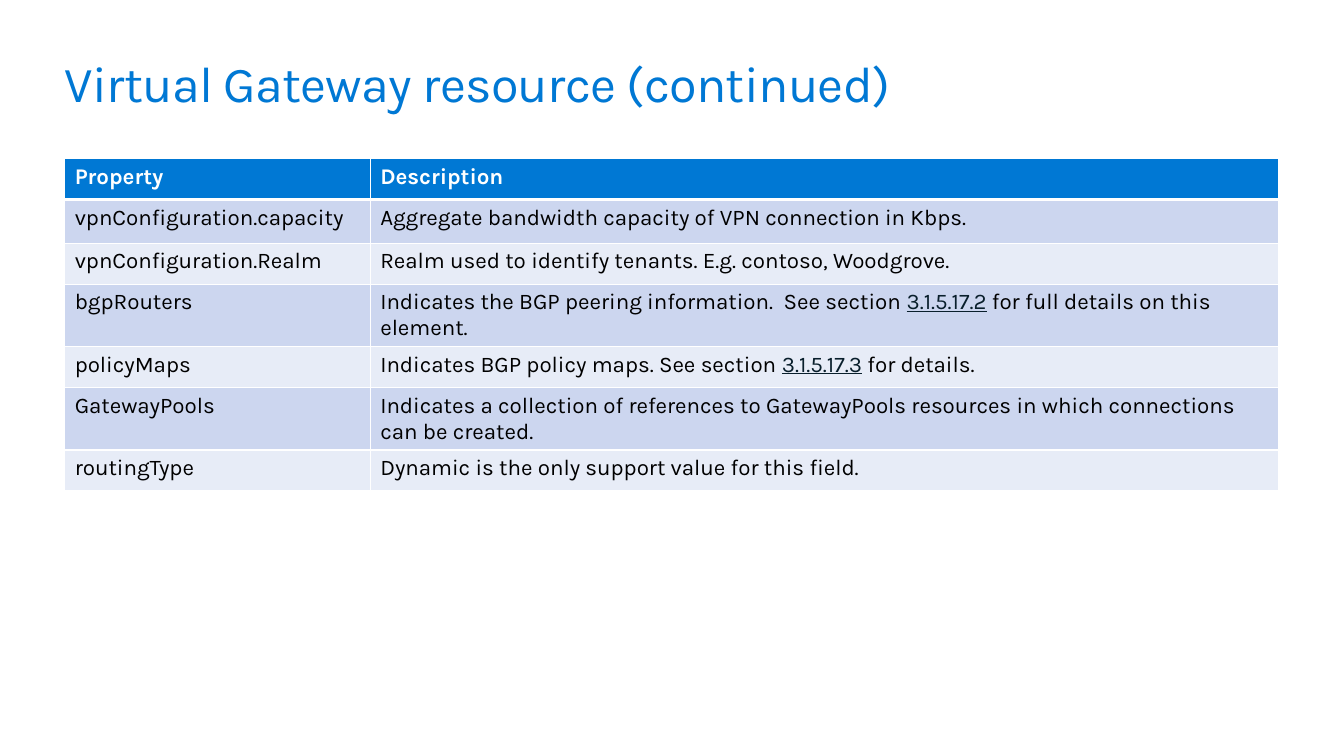
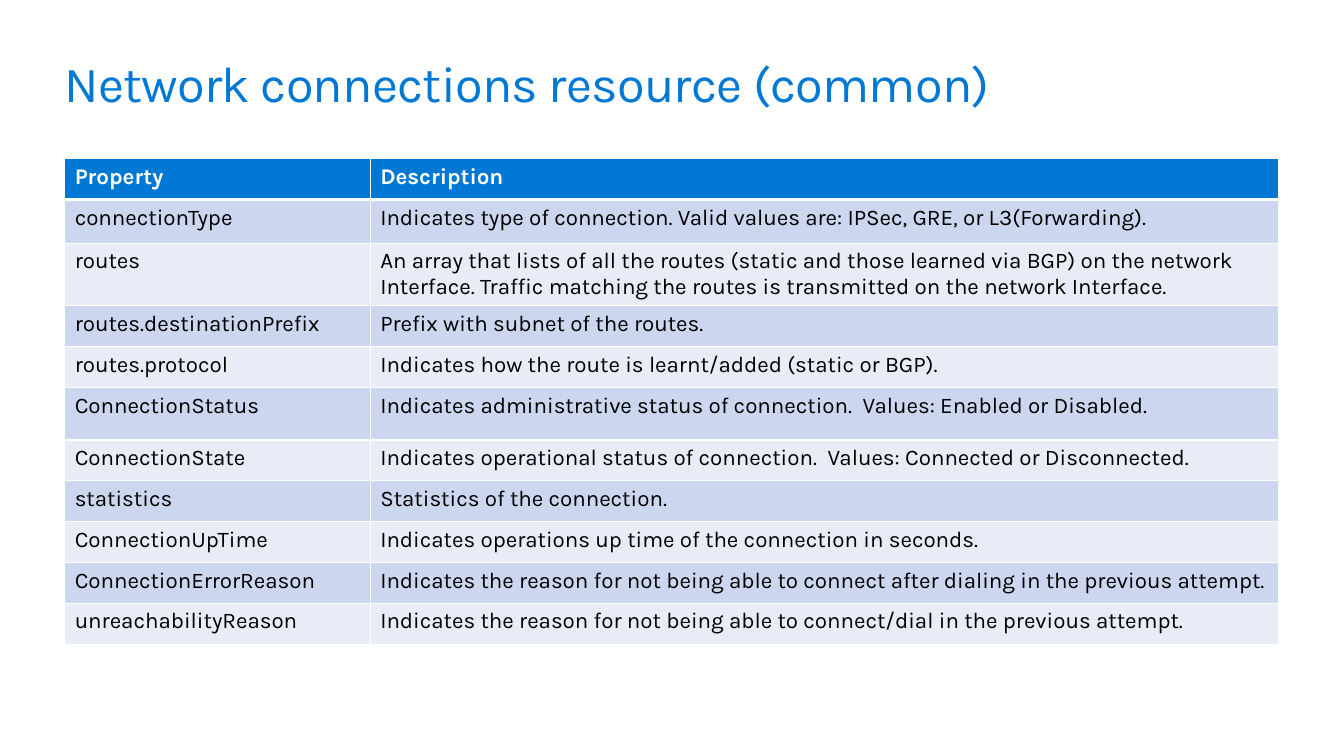
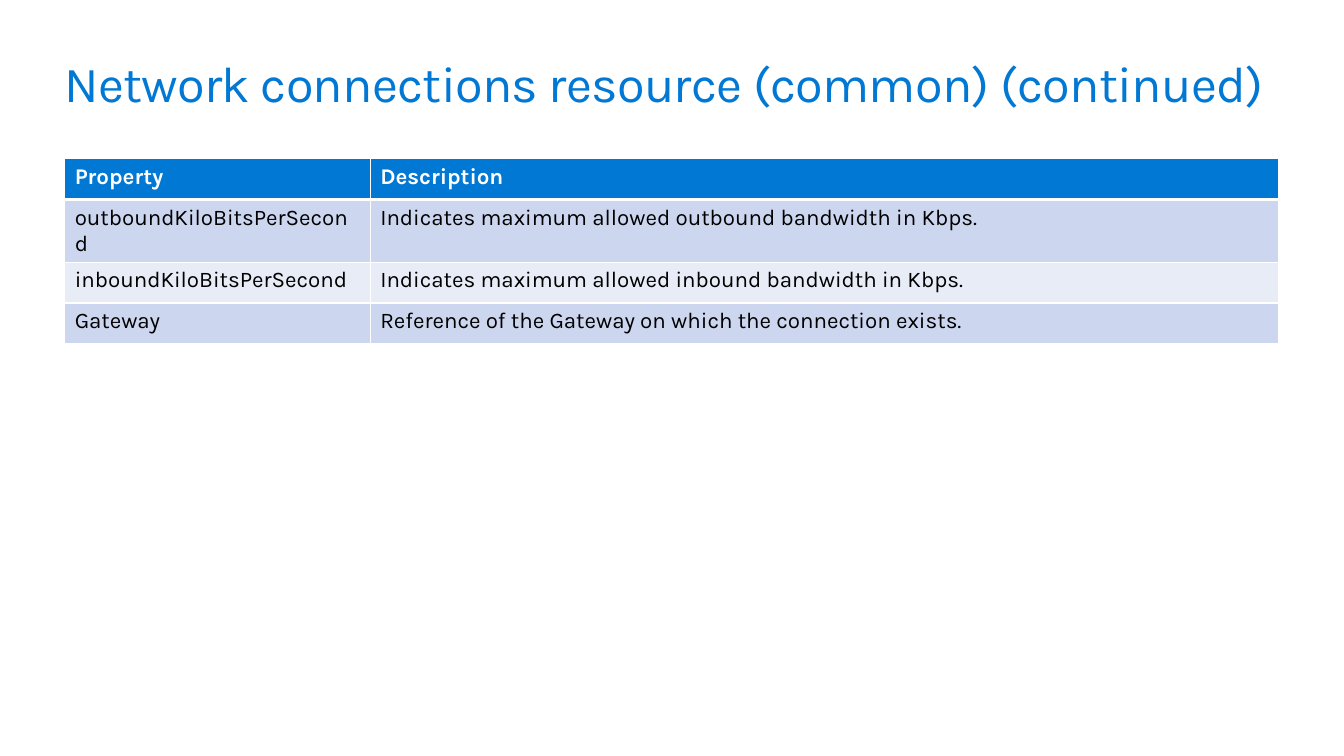
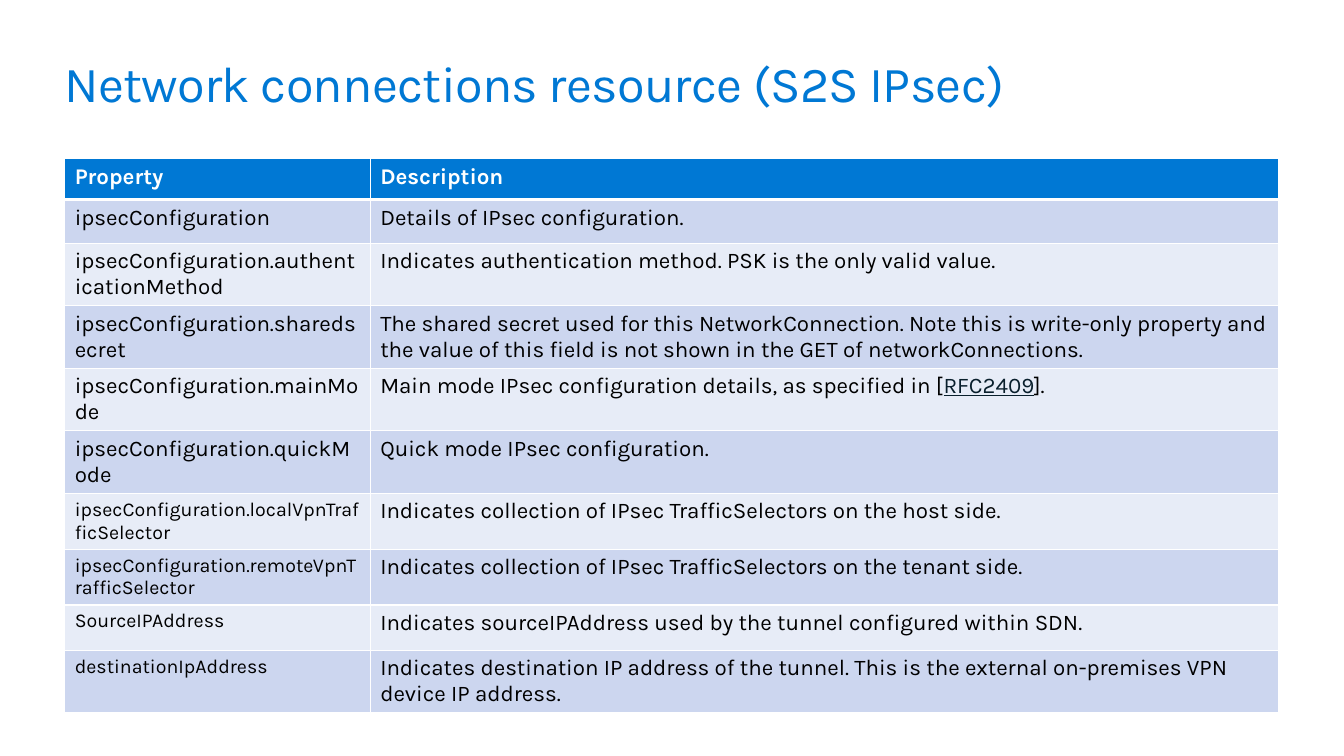
from dataclasses import dataclass

import pptx
import pptx.dml.color
import pptx.enum.text
import pptx.oxml
import pptx.oxml.ns
import pptx.util

Cm = pptx.util.Cm
Pt = pptx.util.Pt


@dataclass(frozen=True)
class Theme:
    font: str = "Karla"
    accent: str = "0078D4"
    white: str = "FFFFFF"
    ink: str = "000000"
    reference: str = "091F2C"
    bands: tuple = ("CCD6EF", "E7ECF7")
    title_size: float = 36
    body_size: float = 16
    small_size: float = 14
    title_spacing: float = -0.5
    thin_border: float = 1
    thick_border: float = 3


@dataclass(frozen=True)
class Box:
    left: float
    top: float
    width: float
    height: float = 0


THEME = Theme()
SLIDE_SIZE = (33.87, 19.05)
TITLE_BOX = Box(1.63, 1.27, 30.6, 1.56)
TABLE_BOX = Box(1.63, 4, 30.6)
PROPERTY_WIDTH = 7.7
ROW_HEIGHT = 1.03
TALL_ROWS = {1: 1.1, 5: 1.32}
HEADINGS = ("Property", "Description")


@dataclass(frozen=True)
class PropertyPage:
    title: str
    rows: tuple  # (property, description); a tuple description holds a reference second
    small_from: int = 99  # first table row whose property is set small
    tall_rows: tuple = ()  # extra (row, height) pairs


PAGES = (
    PropertyPage("Virtual Gateway resource (continued)", (
        ("vpnConfiguration.capacity", "Aggregate bandwidth capacity of VPN connection in Kbps."),
        ("vpnConfiguration.Realm", "Realm used to identify tenants. E.g. contoso, Woodgrove."),
        ("bgpRouters", ("Indicates the BGP peering information.  See section ", "3.1.5.17.2",
                        " for full details on this element.")),
        ("policyMaps", ("Indicates BGP policy maps. See section ", "3.1.5.17.3",
                        " for details.")),
        ("GatewayPools", "Indicates a collection of references to GatewayPools resources "
                         "in which connections can be created."),
        ("routingType", "Dynamic is the only support value for this field."),
    )),
    PropertyPage("Network connections resource (common)", (
        ("connectionType", "Indicates type of connection. Valid values are: "
                           "IPSec, GRE, or L3(Forwarding)."),
        ("routes", "An array that lists of all the routes (static and those learned via BGP) "
                   "on the network Interface. Traffic matching the routes is transmitted "
                   "on the network Interface."),
        ("routes.destinationPrefix", "Prefix with subnet of the routes."),
        ("routes.protocol", "Indicates how the route is learnt/added (static or BGP)."),
        ("ConnectionStatus", "Indicates administrative status of connection.  "
                             "Values: Enabled or Disabled."),
        ("ConnectionState", "Indicates operational status of connection.  "
                            "Values: Connected or Disconnected."),
        ("statistics", "Statistics of the connection."),
        ("ConnectionUpTime", "Indicates operations up time of the connection in seconds."),
        ("ConnectionErrorReason", "Indicates the reason for not being able to connect "
                                  "after dialing in the previous attempt."),
        ("unreachabilityReason", "Indicates the reason for not being able to connect/dial "
                                 "in the previous attempt."),
    )),
    PropertyPage("Network connections resource (common) (continued)", (
        ("outboundKiloBitsPerSecond", "Indicates maximum allowed outbound bandwidth in Kbps."),
        ("inboundKiloBitsPerSecond", "Indicates maximum allowed inbound bandwidth in Kbps."),
        ("Gateway", "Reference of the Gateway on which the connection exists."),
    )),
    PropertyPage("Network connections resource (S2S IPsec)", (
        ("ipsecConfiguration", "Details of IPsec configuration."),
        ("ipsecConfiguration.authenticationMethod",
         "Indicates authentication method. PSK is the only valid value."),
        ("ipsecConfiguration.sharedsecret",
         "The shared secret used for this NetworkConnection. Note this is write-only property "
         "and the value of this field is not shown in the GET of networkConnections."),
        ("ipsecConfiguration.mainMode",
         ("Main mode IPsec configuration details, as specified in [", "RFC2409", "].")),
        ("ipsecConfiguration.quickMode", "Quick mode IPsec configuration."),
        ("ipsecConfiguration.localVpnTrafficSelector",
         "Indicates collection of IPsec TrafficSelectors on the host side."),
        ("ipsecConfiguration.remoteVpnTrafficSelector",
         "Indicates collection of IPsec TrafficSelectors on the tenant side."),
        ("SourceIPAddress",
         "Indicates sourceIPAddress used by the tunnel configured within SDN."),
        ("destinationIpAddress",
         "Indicates destination IP address of the tunnel. This is the external on-premises "
         "VPN device IP address."),
    ), small_from=6, tall_rows=((8, 1.14),)),
)


def write(frame, text, size=THEME.body_size, color=THEME.ink, bold=False, spacing=0):
    """Fill a text frame; every second part of a tuple is an underlined reference."""
    parts = (text,) if isinstance(text, str) else text
    for number, part in enumerate(parts):
        is_reference = number % 2 == 1
        run = frame.paragraphs[0].add_run()
        run.text = part
        run.font.name = THEME.font
        run.font.size = Pt(size)
        run.font.bold = bold
        run.font.underline = is_reference
        shade = THEME.reference if is_reference else color
        run.font.color.rgb = pptx.dml.color.RGBColor.from_string(shade)
        if spacing:
            run.font._element.set("spc", str(round(spacing * 100)))


def set_borders(cell, top, bottom):
    """Draw white borders; they stand before the fill in the cell properties."""
    properties = cell._tc.get_or_add_tcPr()
    sides = (("lnL", THEME.thin_border), ("lnR", THEME.thin_border),
             ("lnT", top), ("lnB", bottom))
    for place, (side, width) in enumerate(sides):
        properties.insert(place, pptx.oxml.parse_xml(
            f'<a:{side} {pptx.oxml.ns.nsdecls("a")} w="{Pt(width)}"><a:solidFill>'
            f'<a:srgbClr val="{THEME.white}"/></a:solidFill></a:{side}>'))


def style_title_layout(layout, box):
    """Place the title once, for all slides of the layout."""
    title = layout.placeholders[0]
    title.left, title.top = Cm(box.left), Cm(box.top)
    title.width, title.height = Cm(box.width), Cm(box.height)
    frame = title.text_frame
    frame.margin_left = frame.margin_right = frame.margin_top = frame.margin_bottom = 0
    frame.word_wrap = True
    frame.auto_size = pptx.enum.text.MSO_AUTO_SIZE.NONE
    frame.vertical_anchor = pptx.enum.text.MSO_ANCHOR.BOTTOM


def add_title(slide, text):
    frame = slide.shapes.title.text_frame
    write(frame, text, size=THEME.title_size, color=THEME.accent, spacing=THEME.title_spacing)
    frame.paragraphs[0].alignment = pptx.enum.text.PP_ALIGN.LEFT


def add_property_table(slide, page, box):
    rows = (HEADINGS,) + page.rows
    table = slide.shapes.add_table(len(rows), len(HEADINGS), Cm(box.left), Cm(box.top),
                                   Cm(box.width), Cm(ROW_HEIGHT * len(rows))).table
    table.horz_banding = False
    table.columns[0].width = Cm(PROPERTY_WIDTH)
    table.columns[1].width = Cm(box.width - PROPERTY_WIDTH)
    heights = {**TALL_ROWS, **dict(page.tall_rows)}

    for row, texts in enumerate(rows):
        table.rows[row].height = Cm(heights.get(row, ROW_HEIGHT))
        is_header = row == 0
        fill = THEME.accent if is_header else THEME.bands[(row - 1) % 2]
        for column, text in enumerate(texts):
            cell = table.cell(row, column)
            cell.fill.solid()
            cell.fill.fore_color.rgb = pptx.dml.color.RGBColor.from_string(fill)
            set_borders(cell,
                        top=THEME.thick_border if row == 1 else THEME.thin_border,
                        bottom=THEME.thick_border if is_header else THEME.thin_border)
            is_small = column == 0 and row >= page.small_from
            write(cell.text_frame, text, bold=is_header,
                  size=THEME.small_size if is_small else THEME.body_size,
                  color=THEME.white if is_header else THEME.ink)


def main():
    deck = pptx.Presentation()
    deck.slide_width, deck.slide_height = (Cm(side) for side in SLIDE_SIZE)
    title_only = deck.slide_layouts[5]
    style_title_layout(title_only, TITLE_BOX)
    for page in PAGES:
        slide = deck.slides.add_slide(title_only)
        add_title(slide, page.title)
        add_property_table(slide, page, TABLE_BOX)
    deck.save("out.pptx")


if __name__ == "__main__":
    main()
